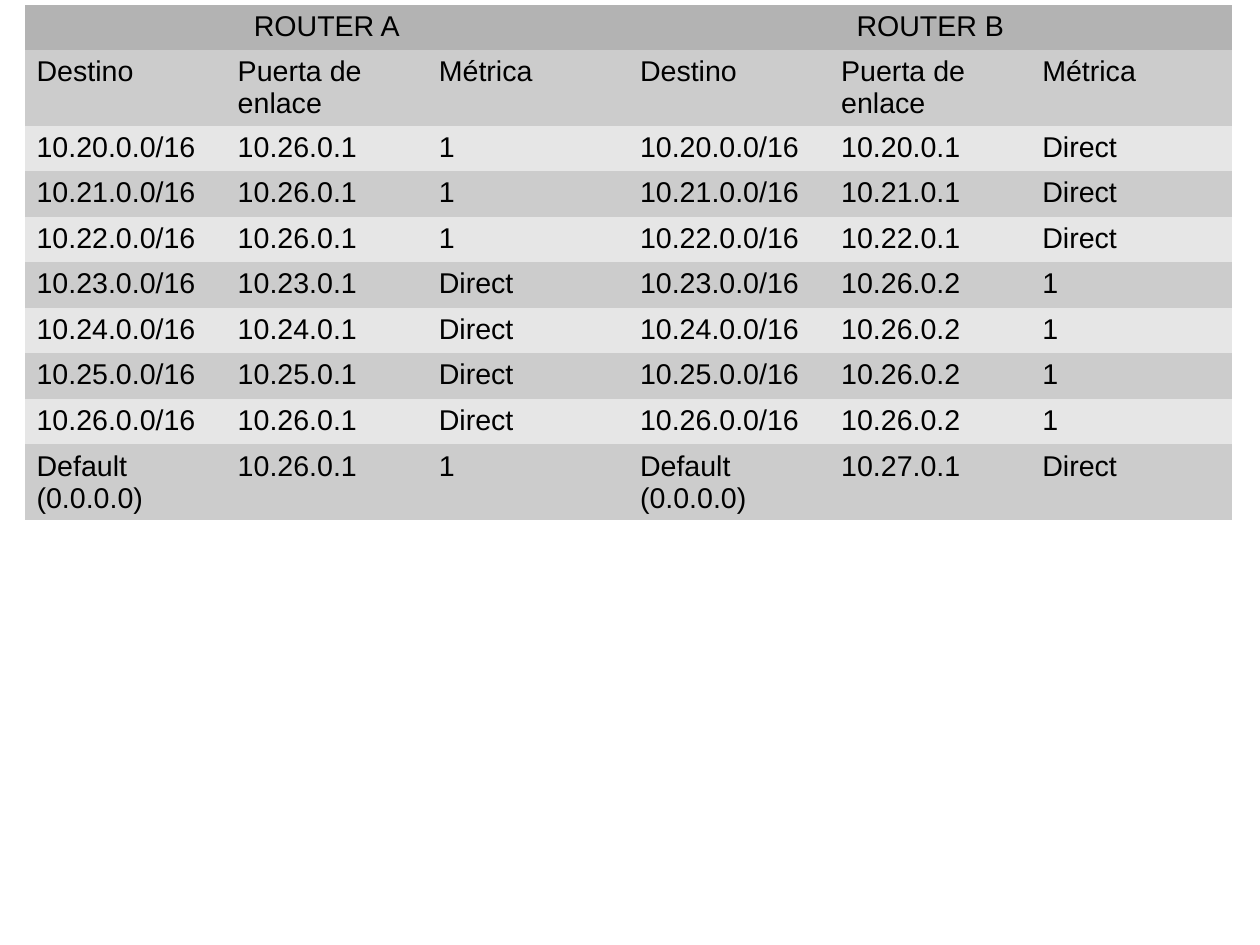
from pptx import Presentation
from pptx.dml.color import RGBColor
from pptx.enum.text import PP_ALIGN
from pptx.oxml.ns import qn
from pptx.util import Cm, Inches, Pt

# Content
ROUTERS = ["ROUTER A", "ROUTER B"]
HEADINGS = ["Destino", "Puerta de enlace", "Métrica"]
# destination, gateway and metric of router A, gateway and metric of router B
ROUTES = [
    ("10.20.0.0/16", "10.26.0.1", "1", "10.20.0.1", "Direct"),
    ("10.21.0.0/16", "10.26.0.1", "1", "10.21.0.1", "Direct"),
    ("10.22.0.0/16", "10.26.0.1", "1", "10.22.0.1", "Direct"),
    ("10.23.0.0/16", "10.23.0.1", "Direct", "10.26.0.2", "1"),
    ("10.24.0.0/16", "10.24.0.1", "Direct", "10.26.0.2", "1"),
    ("10.25.0.0/16", "10.25.0.1", "Direct", "10.26.0.2", "1"),
    ("10.26.0.0/16", "10.26.0.1", "Direct", "10.26.0.2", "1"),
    ("Default (0.0.0.0)", "10.26.0.1", "1", "10.27.0.1", "Direct"),
]

# Format
HEADER_GREY = RGBColor(0xB3, 0xB3, 0xB3)
DARK_BAND = RGBColor(0xCC, 0xCC, 0xCC)
LIGHT_BAND = RGBColor(0xE6, 0xE6, 0xE6)
BLACK = RGBColor(0, 0, 0)
FONT = {"name": "Arial", "size": Pt(18), "bold": False}
MARGINS = {"margin_left": Inches(0.1), "margin_right": Inches(0.1),
           "margin_top": Inches(0.05), "margin_bottom": Inches(0.05)}
NO_STYLE_NO_GRID = "{2D5ABB26-0587-4C30-8999-92F81FD0307C}"

# Grid: two rows hold two lines of text, the others share the rest
LEFT, TOP, WIDTH, HEIGHT = 0.22, 0.04, 10.56, 4.51
TWO_LINES = 0.66
ONE_LINE = (HEIGHT - 2 * TWO_LINES) / len(ROUTES)
SPAN = len(HEADINGS)


def write_cell(cell, text, fill, align=PP_ALIGN.LEFT):
    for name, value in MARGINS.items():
        setattr(cell, name, value)
    cell.fill.solid()
    cell.fill.fore_color.rgb = fill
    p = cell.text_frame.paragraphs[0]
    p.alignment = align
    r = p.add_run()
    r.text = text
    for name, value in FONT.items():
        setattr(r.font, name, value)
    r.font.color.rgb = BLACK


def main():
    prs = Presentation()
    prs.slide_width, prs.slide_height = Cm(28), Cm(21)
    s = prs.slides.add_slide(prs.slide_layouts[6])

    # Both routers share the destination column
    rows = [HEADINGS * len(ROUTERS)]
    rows += [(dest, gate_a, metric_a, dest, gate_b, metric_b)
             for dest, gate_a, metric_a, gate_b, metric_b in ROUTES]
    heights = [ONE_LINE, TWO_LINES] + [ONE_LINE] * (len(ROUTES) - 1) + [TWO_LINES]
    n_cols = SPAN * len(ROUTERS)

    # Routing table
    table = s.shapes.add_table(len(heights), n_cols, Inches(LEFT), Inches(TOP),
                               Inches(WIDTH), Inches(HEIGHT)).table
    table.first_row = table.horz_banding = False
    table._tbl.tblPr.find(qn("a:tableStyleId")).text = NO_STYLE_NO_GRID
    for column in table.columns:
        column.width = Inches(WIDTH / n_cols)
    for row, height in zip(table.rows, heights):
        row.height = Inches(height)

    # Router names, each above its three columns
    for i, router in enumerate(ROUTERS):
        first, last = table.cell(0, i * SPAN), table.cell(0, (i + 1) * SPAN - 1)
        first.merge(last)
        write_cell(first, router, HEADER_GREY, PP_ALIGN.CENTER)

    # Headings and routes in alternating bands
    for i, row in enumerate(rows):
        fill = LIGHT_BAND if i % 2 else DARK_BAND
        for j, text in enumerate(row):
            write_cell(table.cell(i + 1, j), text, fill)

    prs.save("out.pptx")


if __name__ == "__main__":
    main()
